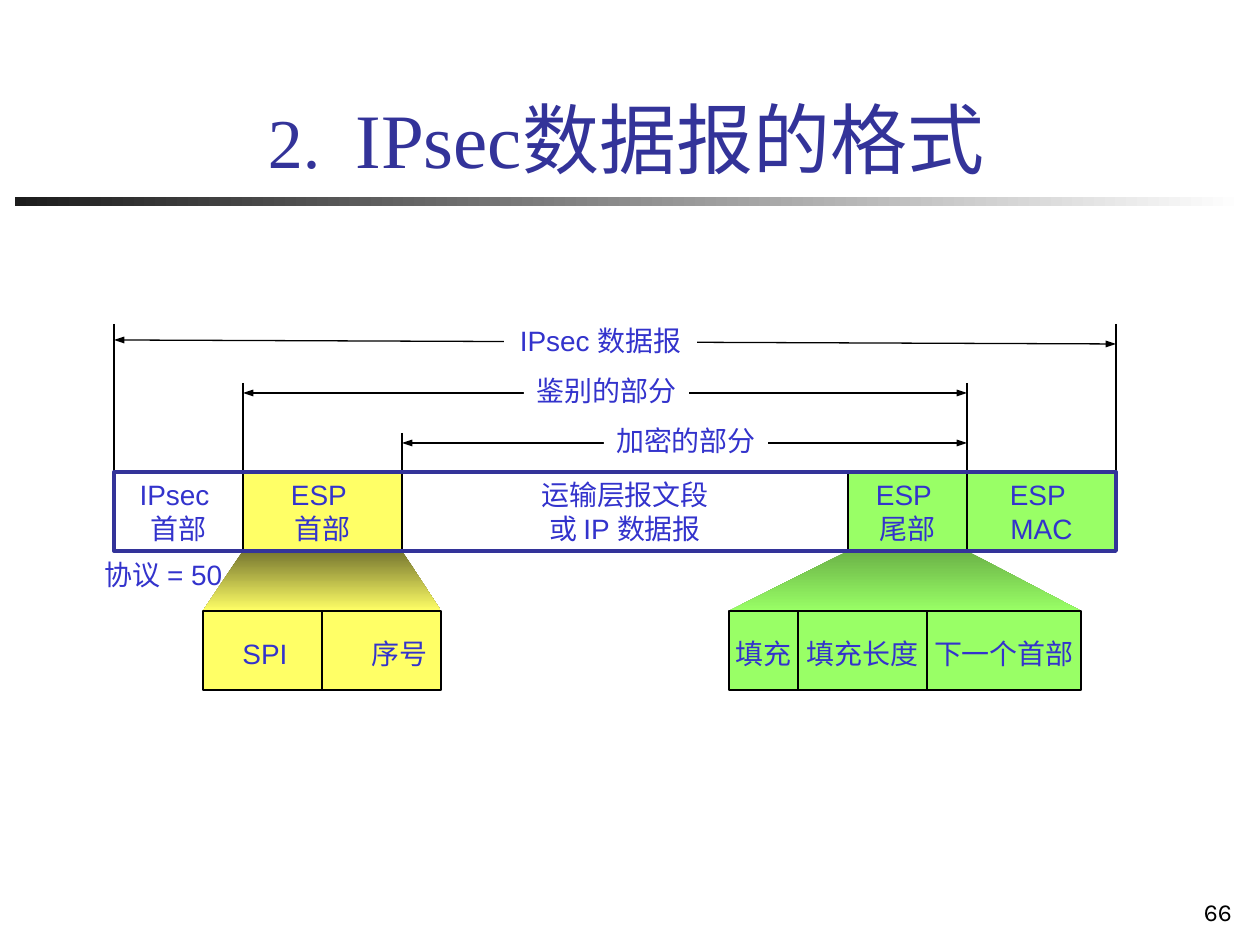
from collections import namedtuple
from dataclasses import dataclass
from itertools import pairwise
from lxml.etree import SubElement
from pptx import Presentation
from pptx.dml.color import RGBColor
from pptx.enum.shapes import MSO_CONNECTOR, MSO_SHAPE
from pptx.enum.text import MSO_ANCHOR, MSO_AUTO_SIZE, PP_ALIGN
from pptx.oxml.ns import qn
from pptx.util import Pt

Box = namedtuple("Box", "x y w h")


@dataclass(frozen=True)
class Theme:
    """Colours, fonts and type sizes."""
    navy: str = "333399"
    blue: str = "3333CC"
    black: str = "000000"
    white: str = "FFFFFF"
    coal: str = "1C1C1C"
    lemon: str = "FFFF66"
    olive: str = "76762F"
    lime: str = "99FF66"
    moss: str = "6BB247"
    sans: str = "Arial"
    serif: str = "Times New Roman"
    page: str = "Karla"
    big: int = 44
    lead: int = 40
    text: int = 16
    foot: int = 14
    thin: float = 0.75
    thick: float = 2.25


T = Theme()


def px(n):
    """Turn px into EMU."""
    return round(n * 914400 / 126)


def rgb(tone):
    """Turn a hex string into a colour."""
    return RGBColor.from_string(tone)


def style(font, name, size, tone):
    """Set a font's face, size and colour."""
    font.name, font.size = name, Pt(size)
    font.color.rgb = rgb(tone)


def write(shape, text, align=PP_ALIGN.CENTER, anchor=MSO_ANCHOR.MIDDLE,
          face=T.sans, size=T.text, tone=T.blue, lead=None, left=13, top=6):
    """Put styled lines of text in a shape."""
    frame = shape.text_frame
    frame.word_wrap, frame.vertical_anchor = False, anchor
    frame.margin_left, frame.margin_right = px(left), px(13)
    frame.margin_top, frame.margin_bottom = px(top), px(6)
    frame.text = text
    for para in frame.paragraphs:
        para.alignment = align
        if lead:
            para.line_spacing = lead
        style(para.font, face, size, tone)


def rect(slide, box, fill=None, edge=None, width=T.thin):
    """Draw a rectangle with an optional fill and edge."""
    shape = slide.shapes.add_shape(MSO_SHAPE.RECTANGLE, *map(px, box))
    shape.shadow.inherit = False
    if fill:
        shape.fill.solid()
        shape.fill.fore_color.rgb = rgb(fill)
    else:
        shape.fill.background()
    if edge:
        shape.line.color.rgb = rgb(edge)
        shape.line.width = Pt(width)
    else:
        shape.line.fill.background()
    return shape


def fade(shape, start, end, angle):
    """Fill a shape with a two-tone gradient."""
    shape.fill.gradient()
    shape.fill.gradient_angle = angle
    for stop, tone in zip(shape.fill.gradient_stops, (start, end)):
        stop.color.rgb = rgb(tone)


def line(slide, x1, y1, x2, y2, arrows=False):
    """Draw a thin line, with arrowheads at both ends if asked."""
    link = slide.shapes.add_connector(
        MSO_CONNECTOR.STRAIGHT, *map(px, (x1, y1, x2, y2)))
    link.line.color.rgb = rgb(T.black)
    link.line.width = Pt(T.thin)
    props = link._element.spPr
    if arrows:
        for end in ("a:headEnd", "a:tailEnd"):
            SubElement(props.find(qn("a:ln")), qn(end),
                       type="triangle", w="sm", len="med")
    SubElement(props, qn("a:effectLst"))


def header(slide, box):
    """Place the title and the fading rule below it."""
    rule = rect(slide, Box(15, box.y + 109, 1230, 9), T.coal)
    fade(rule, T.coal, T.white, 0)
    title = slide.shapes.title
    title.left, title.top, title.width, title.height = map(px, box)
    frame = title.text_frame
    frame.word_wrap, frame.auto_size = True, MSO_AUTO_SIZE.NONE
    frame.vertical_anchor = MSO_ANCHOR.BOTTOM
    frame.margin_left = frame.margin_right = 0
    frame.margin_top = frame.margin_bottom = 0
    para = frame.paragraphs[0]
    para.alignment = PP_ALIGN.CENTER
    parts = (("2.", T.lead), (" ", T.lead), ("IPsec数据报的格式 ", T.big))
    for text, size in parts:
        run = para.add_run()
        run.text = text
        style(run.font, T.serif, size, T.navy)
    para.runs[1]._r.get_or_add_rPr().set("spc", "1000")


def packet(slide, box):
    """Draw the row of packet fields inside a thick frame."""
    cuts = (0, 129, 288, 734, 853, box.w)
    cells = (("IPsec \n首部", T.white), ("ESP \n首部", T.lemon),
             ("运输层报文段\n或 IP 数据报", T.white),
             ("ESP \n尾部", T.lime), ("ESP \nMAC", T.lime))
    for (x1, x2), (text, fill) in zip(pairwise(cuts), cells):
        cell = Box(box.x + x1, box.y, x2 - x1, box.h)
        write(rect(slide, cell, fill, T.black), text)
    rect(slide, box, edge=T.navy, width=T.thick)
    note = slide.shapes.add_textbox(
        *map(px, (box.x - 22, box.y + box.h + 1, 149, 46)))
    write(note, "协议 = 50", PP_ALIGN.LEFT, MSO_ANCHOR.TOP)


def spans(slide, box):
    """Draw the labelled extents and their ticks above the packet."""
    rows = ((0, box.w, 26, 30, 390, 193, "IPsec 数据报"),
            (129, 853, 79, 79, 410, 165, "鉴别的部分"),
            (288, 853, 129, 129, 490, 164, "加密的部分"))
    for i, (x1, x2, y1, y2, left, wide, text) in enumerate(rows):
        line(slide, box.x + x1, box.y + y1, box.x + x2, box.y + y2, True)
        tag = Box(box.x + left, box.y + 50 * i, wide, 50)
        write(rect(slide, tag, T.white), text,
              anchor=MSO_ANCHOR.TOP, lead=1.1)
    for x, y in ((0, 10), (129, 69), (288, 119), (853, 69), (box.w, 10)):
        line(slide, box.x + x, box.y + y, box.x + x, box.y + box.h)


def funnel(slide, box, x1, x2, dark, light):
    """Draw a fading wedge from a packet field to the box's full width."""
    low = box.y + box.h
    points = ((box.x + x1, box.y), (box.x, low),
              (box.x + box.w, low), (box.x + x2, box.y))
    first, *rest = [(px(x), px(y)) for x, y in points]
    path = slide.shapes.build_freeform(*first, scale=1.0)
    path.add_line_segments(rest, close=True)
    shape = path.convert_to_shape()
    shape.shadow.inherit = False
    shape.line.fill.background()
    fade(shape, dark, light, 270)


def detail(slide, box, cells, fill):
    """Draw a row of subfields given as width, label and left pad."""
    x = box.x
    for wide, text, pad in cells:
        cell = rect(slide, Box(x, box.y, wide, box.h), fill, T.black)
        write(cell, text, left=pad, top=12)
        x += wide


def number(slide, box):
    """Place the page number."""
    note = slide.shapes.add_textbox(*map(px, box))
    write(note, "66", PP_ALIGN.RIGHT, MSO_ANCHOR.BOTTOM,
          T.page, T.foot, T.black)
    note.text_frame.word_wrap = True


def main():
    """Build and save the slide."""
    deck = Presentation()
    deck.slide_width, deck.slide_height = px(1260), px(945)
    slide = deck.slides.add_slide(deck.slide_layouts[5])
    header(slide, Box(156, 88, 958, 96))
    funnel(slide, Box(729, 551, 352, 60), 119, 238, T.moss, T.lime)
    funnel(slide, Box(203, 551, 238, 60), 40, 199, T.olive, T.lemon)
    spans(slide, Box(114, 314, 1002, 158))
    packet(slide, Box(114, 472, 1002, 79))
    detail(slide, Box(203, 611, 238, 79),
           ((119, "SPI", 18), (119, "序号", 49)), T.lemon)
    detail(slide, Box(729, 611, 352, 79),
           ((69, "填充", 13), (129, "填充长度", 13),
            (154, "下一个首部", 13)), T.lime)
    number(slide, Box(983, 869, 262, 63))
    deck.save("out.pptx")


if __name__ == "__main__":
    main()
